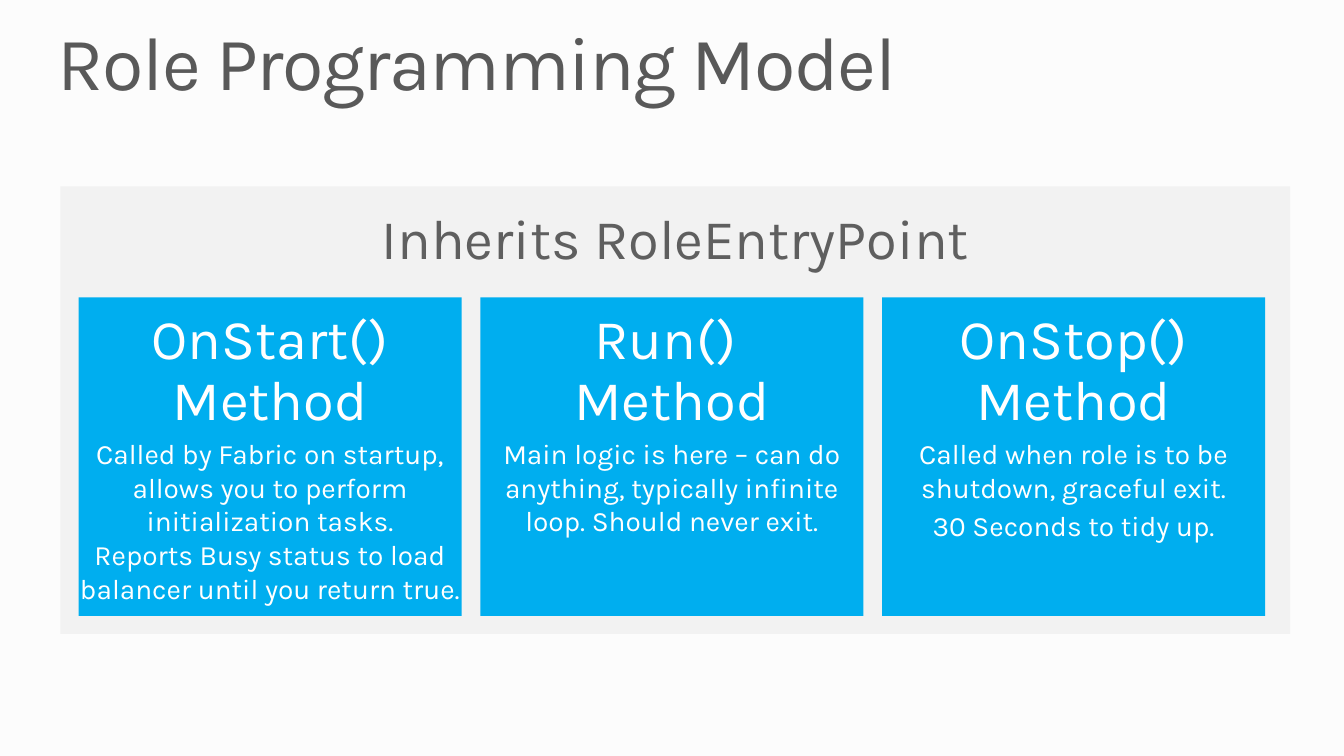
"""Build the Role Programming Model slide."""
from dataclasses import dataclass

from pptx import Presentation
from pptx.dml.color import RGBColor
from pptx.enum.shapes import MSO_SHAPE
from pptx.enum.text import PP_ALIGN
from pptx.slide import Slide
from pptx.util import Inches, Pt

RECTANGLE = MSO_SHAPE.RECTANGLE
LEFT = PP_ALIGN.LEFT
CENTER = PP_ALIGN.CENTER

BACKGROUND = RGBColor(0xFC, 0xFC, 0xFC)
PANEL_GRAY = RGBColor(0xF2, 0xF2, 0xF2)
CARD_BLUE = RGBColor(0x00, 0xAE, 0xEF)
TITLE_GRAY = RGBColor(0x59, 0x59, 0x59)
HEADING_GRAY = RGBColor(0x5F, 0x5F, 0x5F)
WHITE = RGBColor(0xFF, 0xFF, 0xFF)

FONT = "Karla"
GRID_UNIT = Inches(0.1)
SLIDE_COLUMNS, SLIDE_ROWS = 133.33, 75
CARD_LEFT, CARD_WIDTH, CARD_GAP = 7.8, 38, 1.86


@dataclass(frozen=True)
class Area:
    column: float
    row: float
    columns: float
    rows: float

    def box(self) -> tuple[int, int, int, int]:
        cells = (self.column, self.row, self.columns, self.rows)
        return tuple(round(cell * GRID_UNIT) for cell in cells)


@dataclass(frozen=True)
class Line:
    text: str
    size: int
    color: RGBColor
    alignment: PP_ALIGN = CENTER
    spacing: float = 1.0
    before: int = 0
    tracking: int = 0


@dataclass(frozen=True)
class Method:
    name: str
    details: tuple[str, ...]


METHODS = (
    Method("OnStart() Method", (
        "Called by Fabric on startup, allows you to perform initialization tasks.\n"
        "Reports Busy status to load balancer until you return true.",
    )),
    Method("Run() \nMethod", (
        "Main logic is here – can do anything, typically infinite loop. Should never exit.",
    )),
    Method("OnStop() Method", (
        "Called when role is to be shutdown, graceful exit.",
        "30 Seconds to tidy up.",
    )),
)


def add_block(slide: Slide, area: Area, color: RGBColor) -> None:
    shape = slide.shapes.add_shape(RECTANGLE, *area.box())
    shape.shadow.inherit = False
    shape.fill.solid()
    shape.fill.fore_color.rgb = color
    shape.line.fill.background()


def add_text(slide: Slide, area: Area, lines: list[Line]) -> None:
    frame = slide.shapes.add_textbox(*area.box()).text_frame
    frame.word_wrap = True
    frame.margin_left = frame.margin_right = 0
    frame.margin_top = frame.margin_bottom = 0
    for index, line in enumerate(lines):
        paragraph = frame.add_paragraph() if index else frame.paragraphs[0]
        paragraph.text = line.text
        paragraph.alignment = line.alignment
        paragraph.line_spacing = line.spacing
        paragraph.space_before = Pt(line.before)
        paragraph.font.name = FONT
        paragraph.font.size = Pt(line.size)
        paragraph.font.color.rgb = line.color
        if line.tracking:
            for run in paragraph.runs:
                run.font._element.set("spc", str(line.tracking))


def add_method(slide: Slide, index: int, method: Method) -> None:
    left = CARD_LEFT + index * (CARD_WIDTH + CARD_GAP)
    add_block(slide, Area(left, 29.5, CARD_WIDTH, 31.6), CARD_BLUE)
    heading = Line(method.name, 40, WHITE, spacing=0.9)
    details = [Line(detail, 20, WHITE, before=3) for detail in method.details]
    add_text(slide, Area(left, 30.9, CARD_WIDTH, 29.8), [heading, *details])


def main() -> None:
    presentation = Presentation()
    presentation.slide_width = round(SLIDE_COLUMNS * GRID_UNIT)
    presentation.slide_height = SLIDE_ROWS * GRID_UNIT
    slide = presentation.slides.add_slide(presentation.slide_layouts[6])
    slide.background.fill.solid()
    slide.background.fill.fore_color.rgb = BACKGROUND

    title = Line("Role Programming Model", 54, TITLE_GRAY, LEFT, 0.9, tracking=-100)
    add_text(slide, Area(5.7, 2.5, 121.9, 8.2), [title])
    add_block(slide, Area(6, 18.5, 122, 44.4), PANEL_GRAY)
    heading = Line("Inherits RoleEntryPoint", 40, HEADING_GRAY)
    add_text(slide, Area(6, 20.2, 122, 6.7), [heading])
    for index, method in enumerate(METHODS):
        add_method(slide, index, method)

    presentation.save("out.pptx")


if __name__ == "__main__":
    main()
